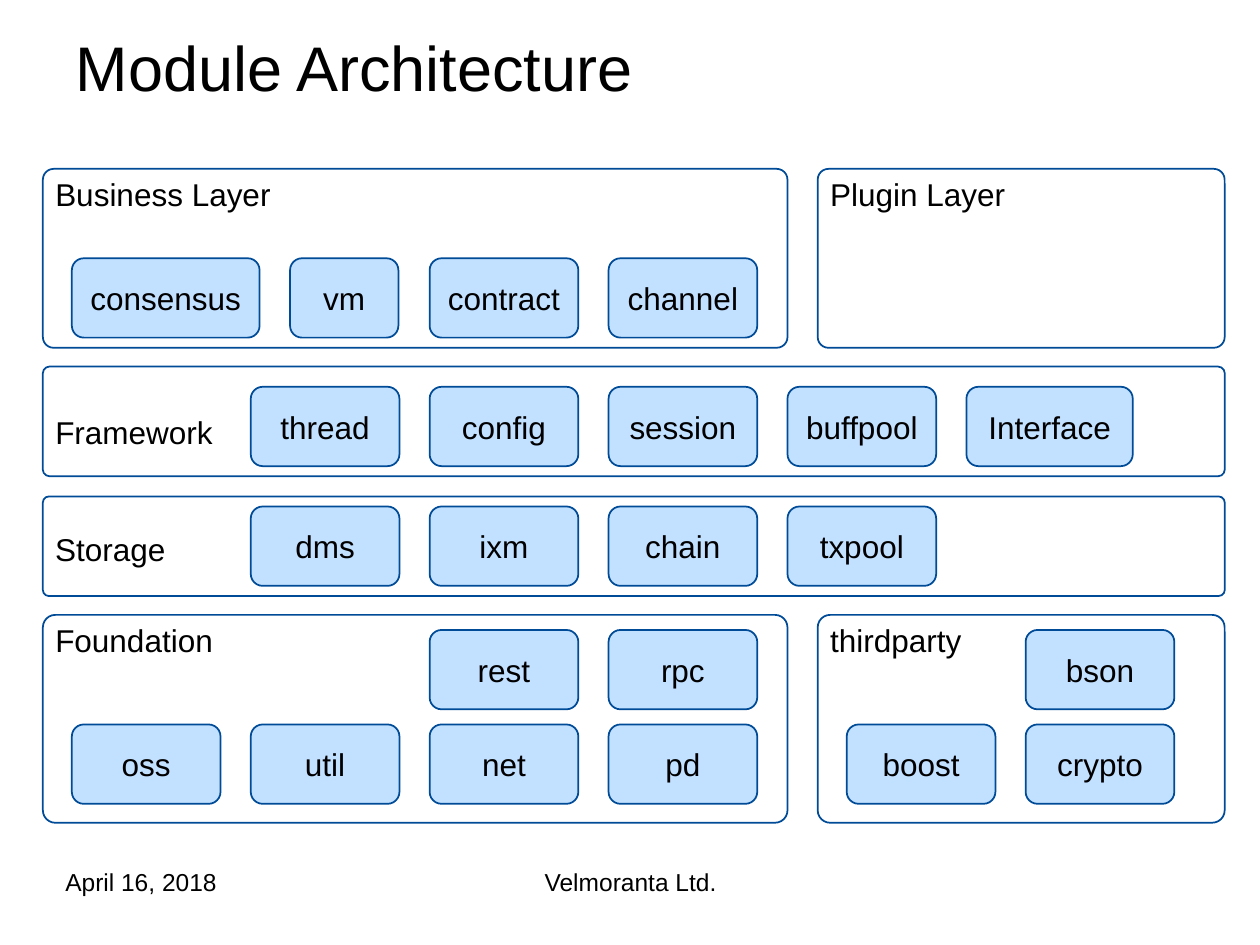
from dataclasses import dataclass

from pptx import Presentation
from pptx import util as u
from pptx.dml.color import RGBColor
from pptx.enum import shapes, text


@dataclass(frozen=True)
class Theme:
    font: str = "Arial"
    ink: str = "000000"
    line: str = "004B97"
    fill: str = "C2E0FF"
    title: int = 36
    body: int = 18
    foot: int = 14


theme = Theme()

# Module grid, in inches
PITCH, INSET = 1.42, 0.23
WIDE, HIGH = 1.18, 0.63
LEFT, FULL, MAIN, SIDE = 0.34, 9.38, 5.91, 3.23
RIGHT = LEFT + FULL - SIDE


def color(code):
    return RGBColor.from_string(code)


def place(item, box):
    item.left, item.top, item.width, item.height = map(u.Inches, box)


def write(frame, words, size, align=text.PP_ALIGN.LEFT):
    para = frame.paragraphs[0]
    para.alignment = align
    run = para.add_run()
    run.text = words
    run.font.name = theme.font
    run.font.size = u.Pt(size)
    run.font.color.rgb = color(theme.ink)


def label(slide, box, words, size, align=text.PP_ALIGN.LEFT, wrap=True):
    frame = slide.shapes.add_textbox(*map(u.Inches, box)).text_frame
    frame.word_wrap = wrap
    if not wrap:
        frame.auto_size = text.MSO_AUTO_SIZE.SHAPE_TO_FIT_TEXT
    write(frame, words, size, align)


def rounded(slide, box, curve, fill=None):
    shape = slide.shapes.add_shape(
        shapes.MSO_SHAPE.ROUNDED_RECTANGLE, *map(u.Inches, box))
    shape.adjustments[0] = curve
    shape.shadow.inherit = False
    shape.line.color.rgb = color(theme.line)
    shape.line.width = u.Pt(1)
    if fill:
        shape.fill.solid()
        shape.fill.fore_color.rgb = color(fill)
    else:
        shape.fill.background()
    return shape


def module(slide, box, name):
    frame = rounded(slide, box, 0.15, theme.fill).text_frame
    frame.word_wrap = False
    frame.vertical_anchor = text.MSO_ANCHOR.MIDDLE
    write(frame, name, theme.body, text.PP_ALIGN.CENTER)


def layer(slide, box, name, size, drop=0, rows=()):
    """Draw a layer; each row is (drop, [(column, name, width), ...])."""
    left, top = box[:2]
    rounded(slide, box, 0.06)
    label(slide, (left, top + drop, *size), name, theme.body, wrap=False)
    for down, cells in rows:
        for col, word, wide in cells:
            spot = left + INSET + col * PITCH, top + down, wide, HIGH
            module(slide, spot, word)


def row(start, *names):
    return [(col, name, WIDE) for col, name in enumerate(names, start)]


def header(slide, box, words):
    title = slide.shapes.title
    place(title, box)
    title.text_frame.vertical_anchor = text.MSO_ANCHOR.MIDDLE
    write(title.text_frame, words, theme.title)


def footer(slide, top, date, owner):
    label(slide, (0.42, top, 2.33, 0.52), date, theme.foot)
    label(slide, (3.42, top, 3.17, 0.52), owner, theme.foot,
          text.PP_ALIGN.CENTER)


deck = Presentation()
deck.slide_width, deck.slide_height = u.Inches(10), u.Inches(7.5)
page = deck.slides.add_slide(deck.slide_layouts[5])

header(page, (0.5, 0.21, 9, 0.64), "Module Architecture")

# Top: business and plugin layers
layer(page, (LEFT, 1.34, MAIN, 1.42), "Business Layer", (1.91, 0.4), rows=[
    (0.71, [(0, "consensus", 1.49), (1.22, "vm", 0.86)]
     + row(2, "contract", "channel"))])
layer(page, (RIGHT, 1.34, SIDE, 1.42), "Plugin Layer", (1.59, 0.4))

# Middle: full-width layers
layer(page, (LEFT, 2.91, FULL, 0.87), "Framework", (1.45, 0.4), 0.32, [
    (0.16, row(1, "thread", "config", "session", "buffpool")
     + [(5, "Interface", 1.32)])])
layer(page, (LEFT, 3.94, FULL, 0.79), "Storage", (1.1, 0.4), 0.22, [
    (0.08, row(1, "dms", "ixm", "chain", "txpool"))])

# Bottom: foundation and third-party layers
layer(page, (LEFT, 4.88, MAIN, 1.65), "Foundation", (1.45, 0.4), rows=[
    (0.12, row(2, "rest", "rpc")),
    (0.87, row(0, "oss", "util", "net", "pd"))])
layer(page, (RIGHT, 4.88, SIDE, 1.65), "thirdparty", (1.24, 0.4), rows=[
    (0.12, row(1, "bson")),
    (0.87, row(0, "boost", "crypto"))])

footer(page, 6.83, "April 16, 2018", "Velmoranta Ltd.")

deck.save("out.pptx")
